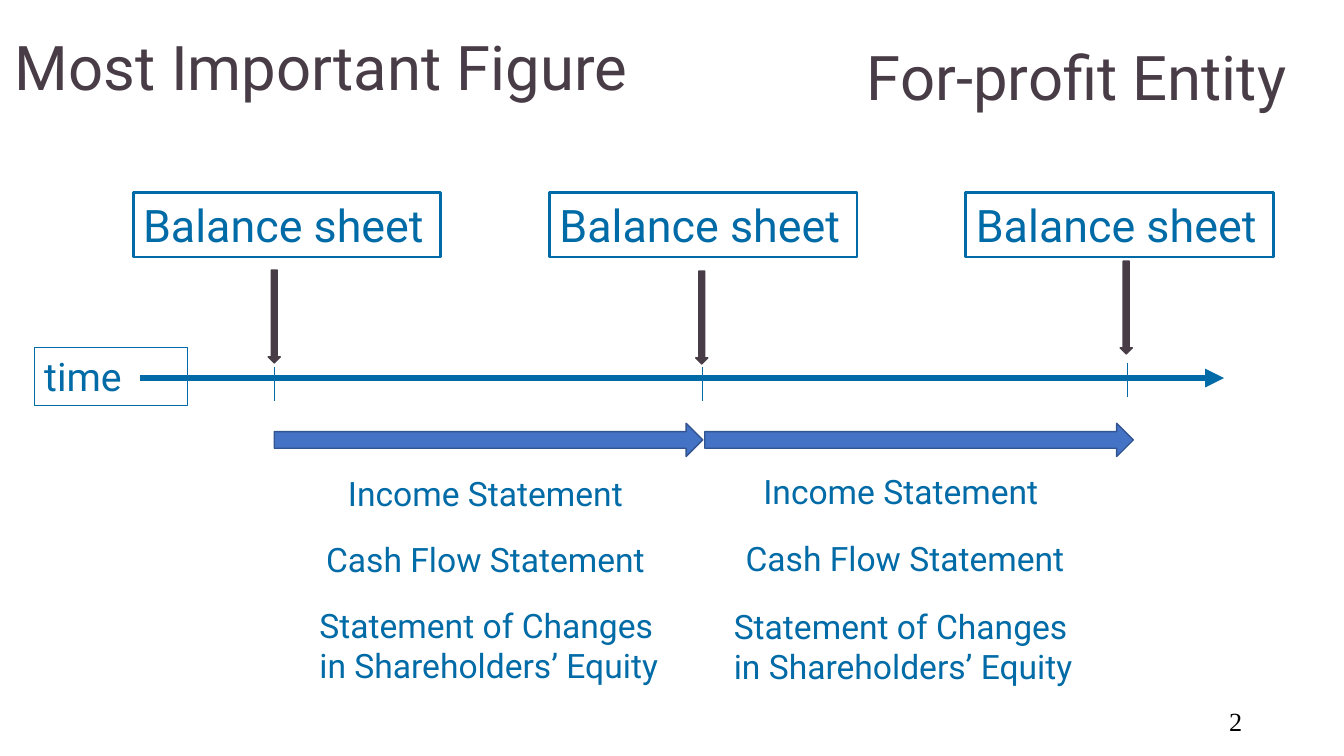
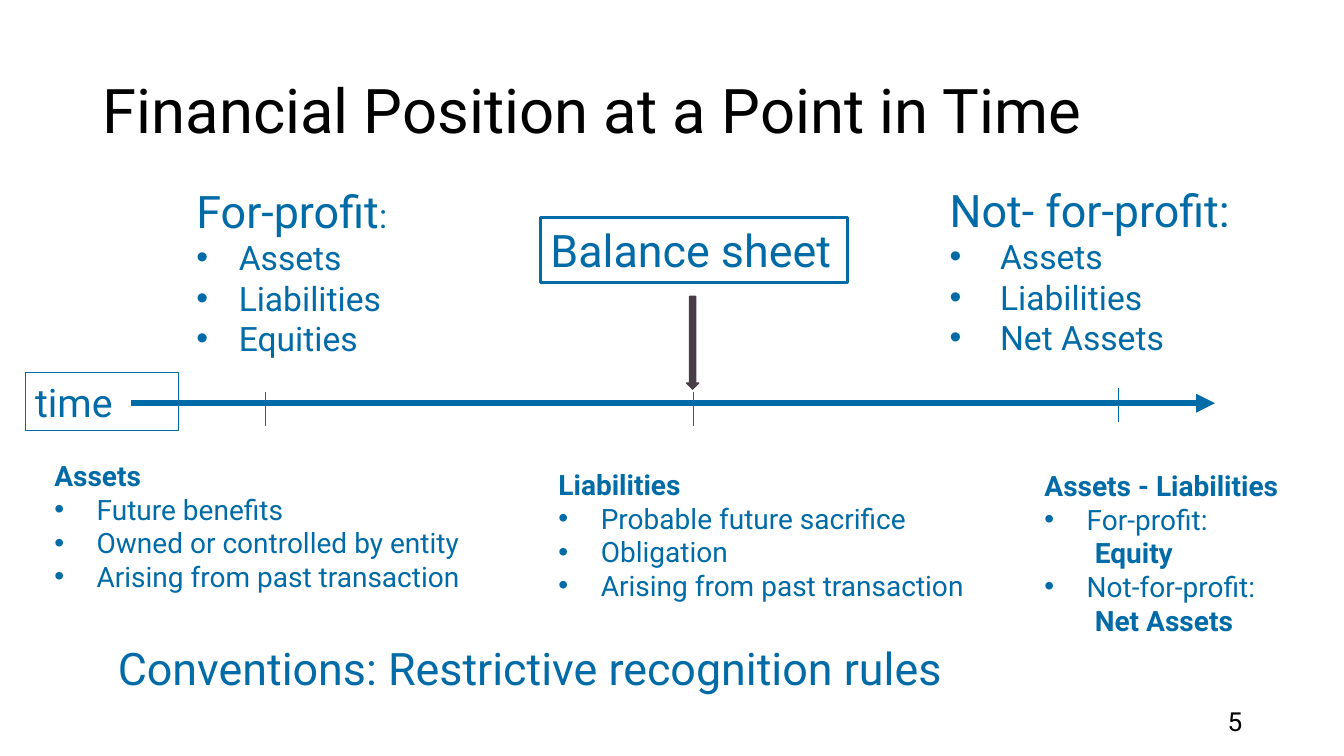
from dataclasses import dataclass
from lxml.etree import SubElement as Sub
from pptx import Presentation
from pptx.dml.color import RGBColor as Color
from pptx.enum.shapes import MSO_CONNECTOR as Link, MSO_SHAPE as Form
from pptx.enum.text import MSO_ANCHOR as Anchor, PP_ALIGN as Align
from pptx.oxml.ns import qn
from pptx.util import Inches, Pt


@dataclass(frozen=True)
class Theme:
    """Colours, fonts and type sizes of the deck."""
    blue: str = "006BA6"
    dark: str = "483C46"
    black: str = "000000"
    fill: str = "4472C4"
    edge: str = "325491"
    face: str = "Roboto"
    serif: str = "Times New Roman"
    title: float = 44
    head: float = 32
    time: float = 28
    body: float = 24
    small: float = 20
    num: float = 18.7


class Deck:
    """Draws each kind of element on the current slide."""

    def __init__(self, theme):
        self.theme = theme
        self.show = Presentation()
        self.show.slide_width = Inches(13.33)
        self.show.slide_height = Inches(7.5)

    def start(self, num, face):
        """Add a blank slide with its number."""
        self.page = self.show.slides.add_slide(self.show.slide_layouts[6])
        fmt = {"size": self.theme.num, "color": self.theme.black, "name": face}
        self.text((9.42, 6.95, 3, 0.4), [num], fmt, Align.RIGHT, Anchor.MIDDLE)

    def put(self, para, words, fmt):
        """Add one run with the given format."""
        run = para.add_run()
        run.text = words
        look = {"name": self.theme.face, "color": self.theme.blue, **fmt}
        run.font.color.rgb = Color.from_string(look.pop("color"))
        look["size"] = Pt(look["size"])
        for key, val in look.items():
            setattr(run.font, key, val)

    def frame(self, shape, anchor=Anchor.TOP):
        """Set up the text frame of a shape."""
        look = {"word_wrap": True, "vertical_anchor": anchor}
        for key, val in look.items():
            setattr(shape.text_frame, key, val)
        return shape.text_frame

    def text(self, at, rows, fmt, align=Align.LEFT, anchor=Anchor.TOP, space=1.0):
        """Add a text box with one paragraph a row."""
        box = self.page.shapes.add_textbox(*map(Inches, at))
        frame = self.frame(box, anchor)
        for i, row in enumerate(rows):
            para = frame.add_paragraph() if i else frame.paragraphs[0]
            para.alignment, para.line_spacing = align, space
            self.put(para, row, fmt)
        return frame

    def title(self, at, words, color):
        """Add a large heading."""
        fmt = {"size": self.theme.title, "color": color}
        self.text(at, [words], fmt, anchor=Anchor.MIDDLE, space=0.9)

    def list(self, at, head, rows, fmt, size, dent=0.42):
        """Add a heading with bullets, where a bold row has no bullet."""
        frame = self.text(at, [head], fmt)
        for words, bold in rows:
            para = frame.add_paragraph()
            props = para._p.get_or_add_pPr()
            props.set("marL", str(Inches(0.5 if bold else dent)))
            props.set("indent", str(0 if bold else Inches(-dent)))
            if not bold:
                Sub(props, qn("a:buFont"), typeface="Arial")
                Sub(props, qn("a:buChar"), char="•")
            self.put(para, words, {"size": size, "bold": bold})
        return frame

    def shape(self, form, at, edge, width, fill=None):
        """Add a preset shape."""
        shape = self.page.shapes.add_shape(form, *map(Inches, at))
        shape.shadow.inherit = False
        if fill:
            shape.fill.solid()
            shape.fill.fore_color.rgb = Color.from_string(fill)
        else:
            shape.fill.background()
        shape.line.color.rgb = Color.from_string(edge)
        shape.line.width = Pt(width)
        return shape

    def box(self, at, words, size, width):
        """Add a framed label."""
        shape = self.shape(Form.RECTANGLE, at, self.theme.blue, width)
        para = self.frame(shape).paragraphs[0]
        para.alignment = Align.LEFT
        self.put(para, words, {"size": size})

    def sheet(self, left, top):
        """Add a balance sheet label."""
        self.box((left, top, 3.05, 0.64), "Balance sheet", self.theme.head, 2)

    def drop(self, left, top):
        """Add a thin arrow that points down."""
        dark = self.theme.dark
        self.shape(Form.DOWN_ARROW, (left, top, 0.12, 0.92), dark, 1, dark)

    def span(self, left):
        """Add a wide arrow for one period."""
        at = (left, 4.2, 4.25, 0.33)
        self.shape(Form.RIGHT_ARROW, at, self.theme.edge, 1, self.theme.fill)

    def line(self, start, end, width, head=False):
        """Add a straight line, with an arrowhead if asked."""
        line = self.page.shapes.add_connector(Link.STRAIGHT, *map(Inches, start + end))
        line.line.color.rgb = Color.from_string(self.theme.blue)
        line.line.width = Pt(width)
        props = line._element.spPr
        if head:
            Sub(props.get_or_add_ln(), qn("a:tailEnd"), type="triangle")
        Sub(props, qn("a:effectLst"))

    def axis(self, left, top):
        """Add the time axis with its label and ticks."""
        self.box((left, top, 1.52, 0.57), "time", self.theme.time, 0.75)
        self.line((left + 1.05, top + 0.3), (left + 11.8, top + 0.3), 4.5, True)
        for x, y in ((2.38, 0.19), (6.63, 0.19), (10.84, 0.15)):
            self.line((left + x, top + y), (left + x, top + y + 0.34), 0.75)


def figure(deck):
    """Draw the figure of a for-profit entity."""
    look = deck.theme
    deck.start("2", look.serif)
    deck.title((0.05, 0.22, 9.26, 0.95), "Most Important Figure", look.dark)
    deck.title((8.5, 0.41, 4.54, 0.77), "For-profit Entity", look.dark)
    deck.axis(0.34, 3.45)
    for i, (x, y) in enumerate(((2.66, 2.68), (6.9, 2.69), (11.11, 2.59))):
        deck.sheet(1.32 + i * 4.13, 1.91)
        deck.drop(x, y)
    for x in (2.72, 6.99):
        deck.span(x)
    fmt = {"size": look.body}
    notes = (
        (["Income Statement"], 3.13, 0.5, Align.CENTER, ((3.25, 4.64), (7.37, 4.62))),
        (["Cash Flow Statement"], 3.59, 0.5, Align.CENTER, ((3.02, 5.3), (7.18, 5.29))),
        (["Statement of Changes", "in Shareholders’ Equity"], 3.73, 0.91,
         Align.LEFT, ((3.07, 5.95), (7.18, 5.96))),
    )
    for rows, wide, high, align, spots in notes:
        for x, y in spots:
            deck.text((x, y, wide, high), rows, fmt, align)


def point(deck):
    """Draw the slide on financial position."""
    look = deck.theme
    deck.start("5", look.face)
    deck.title((0.92, 0.4, 11.5, 1.45), "Financial Position at a Point in Time", look.black)
    large = {"size": look.head}
    strong = {"size": look.small, "bold": True}
    plain = [("Assets", False), ("Liabilities", False)]
    past = ("Arising from past transaction", False)
    frame = deck.list((1.85, 1.77, 2.2, 1.85), "For-profit",
                      plain + [("Equities", False)], large, look.body)
    deck.put(frame.paragraphs[0], ":", {"size": look.body})
    deck.list((9.32, 1.76, 3.15, 1.85), "Not- for-profit:",
              plain + [("Net Assets", False)], large, look.body, 0.5)
    lists = (
        ((0.44, 4.5, 4.46, 1.45), "Assets",
         [("Future benefits", False), ("Owned or controlled by entity", False), past]),
        ((5.44, 4.59, 4.28, 1.45), "Liabilities",
         [("Probable future sacrifice", False), ("Obligation", False), past]),
        ((10.26, 4.6, 2.62, 1.78), "Assets - Liabilities",
         [("For-profit:", False), ("Equity", True),
          ("Not-for-profit:", False), ("Net Assets", True)]),
    )
    for at, head, rows in lists:
        deck.list(at, head, rows, strong, look.small)
    deck.axis(0.25, 3.7)
    deck.sheet(5.36, 2.16)
    deck.drop(6.81, 2.94)
    deck.text((1.07, 6.31, 9.29, 0.64), ["Conventions: Restrictive recognition rules"], large)


def main():
    """Build and save the deck."""
    deck = Deck(Theme())
    figure(deck)
    point(deck)
    deck.show.save("out.pptx")


if __name__ == "__main__":
    main()
